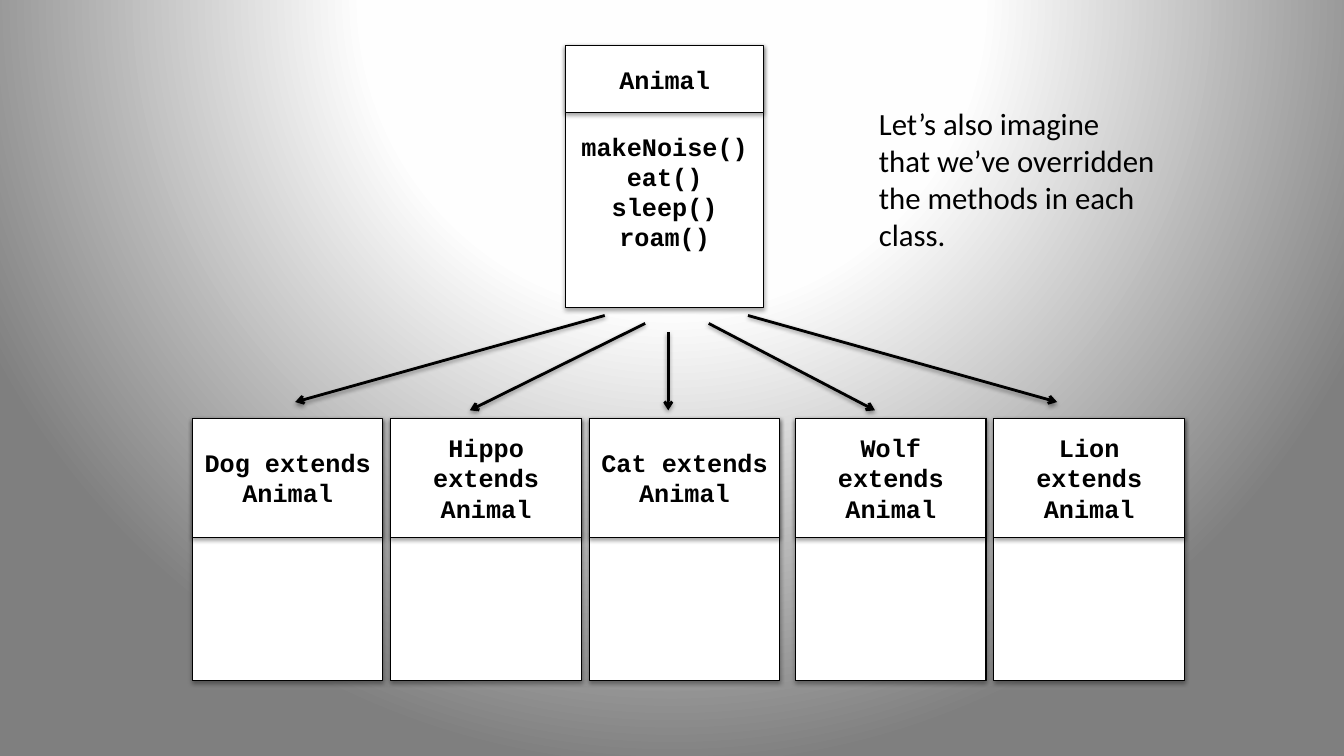
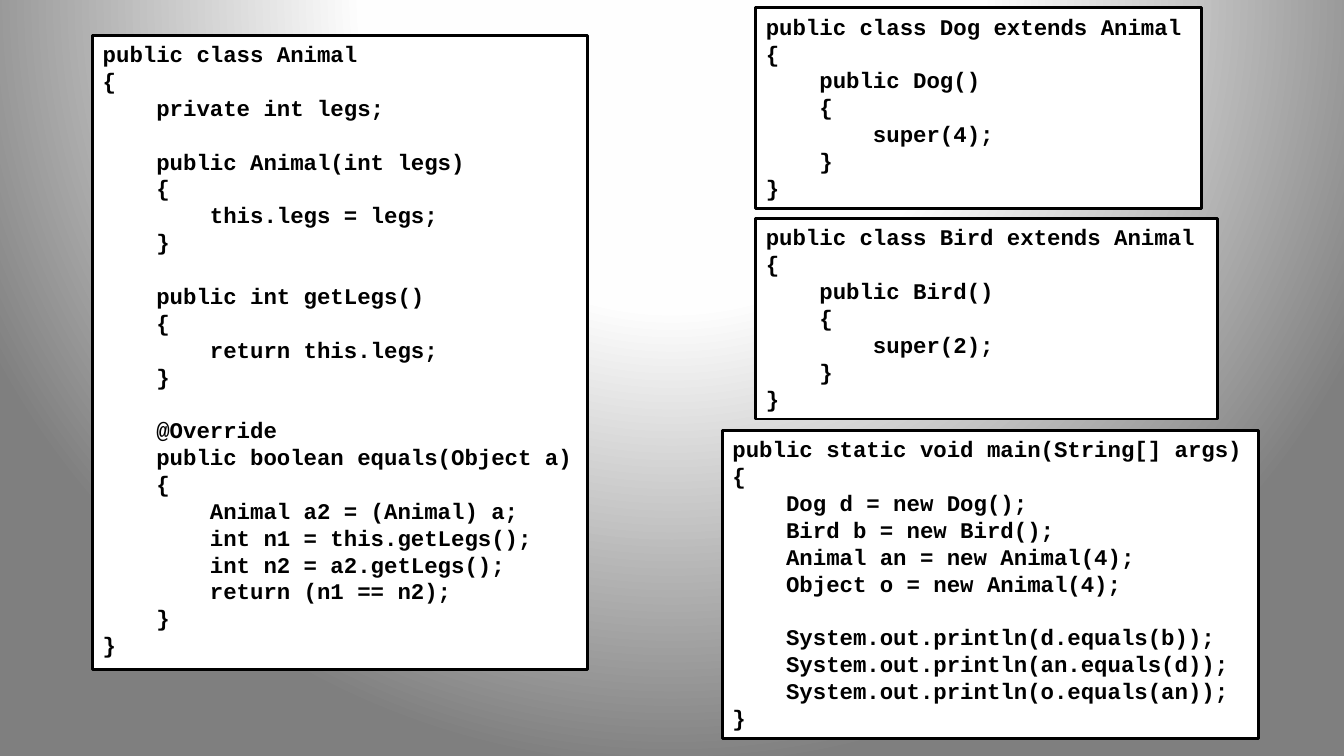
from pptx import Presentation
from pptx.dml.color import RGBColor
from pptx.enum.shapes import MSO_CONNECTOR, MSO_SHAPE
from pptx.enum.text import MSO_ANCHOR, PP_ALIGN
from pptx.oxml import parse_xml
from pptx.oxml.ns import nsdecls, qn
from pptx.util import Cm, Pt

RECT = MSO_SHAPE.RECTANGLE
STRAIGHT = MSO_CONNECTOR.STRAIGHT
LEFT, CENTER = PP_ALIGN.LEFT, PP_ALIGN.CENTER
TOP, MIDDLE = MSO_ANCHOR.TOP, MSO_ANCHOR.MIDDLE

# Shared style
COLORS = {"ink": "000000", "box": "FFFFFF", "glow": "FEFEFE", "edge": "7F7F7F"}
FORMATS = {
    "class": {"name": "Courier New", "size": Pt(18), "bold": True},
    "code": {"name": "Courier New", "size": Pt(16), "bold": True},
    "note": {"name": "Calibri", "size": Pt(22), "bold": False},
}
LINE_PITCH = 1.2  # line height as a multiple of the font size

# Class diagram content
METHODS = "makeNoise()\neat()\nsleep()\nroam()"
SUBCLASSES = ["Dog", "Hippo", "Cat", "Wolf", "Lion"]
NOTE = "Let’s also imagine\nthat we’ve overridden\nthe methods in each\nclass."
ARROWS = [  # x1, y1, x2, y2
    (15.24, 7.95, 7.44, 10.13),
    (16.26, 8.15, 11.84, 10.34),
    (16.84, 8.36, 16.84, 10.34),
    (17.86, 8.15, 22.05, 10.34),
    (18.85, 7.95, 26.64, 10.13),
]

# Code listings
ANIMAL_CODE = """public class Animal
{
    private int legs;

    public Animal(int legs)
    {
        this.legs = legs;
    }

    public int getLegs()
    {
        return this.legs;
    }

    @Override
    public boolean equals(Object a)
    {
        Animal a2 = (Animal) a;
        int n1 = this.getLegs();
        int n2 = a2.getLegs();
        return (n1 == n2);
    }
}"""
MAIN_CODE = """public static void main(String[] args)
{
    Dog d = new Dog();
    Bird b = new Bird();
    Animal an = new Animal(4);
    Object o = new Animal(4);

    System.out.println(d.equals(b));
    System.out.println(an.equals(d));
    System.out.println(o.equals(an));
}"""
SUBCLASS_CODE = """public class {name} extends Animal
{{
    public {name}()
    {{
        super({legs});
    }}
}}"""


def rgb(key):
    return RGBColor.from_string(COLORS[key])


def set_background(master):
    """Give every slide the radial gradient through the master."""
    master.background.fill.solid()
    stops = "".join(
        f'<a:gs pos="{pos * 1000}"><a:srgbClr val="{COLORS[key]}"/></a:gs>'
        for pos, key in ((0, "box"), (40, "glow"), (100, "edge")))
    gradient = parse_xml(
        f'<a:gradFill {nsdecls("a")} rotWithShape="1"><a:gsLst>{stops}</a:gsLst>'
        '<a:path path="circle"><a:fillToRect l="50000" t="-80000" r="50000" b="180000"/>'
        '</a:path></a:gradFill>')
    bg = master.element.find(".//" + qn("p:bgPr"))
    bg.replace(bg.find(qn("a:solidFill")), gradient)


def add_shadow(sp, dist, alpha):
    """Put a soft downward shadow under a shape or connector."""
    props = sp.element.spPr
    for old in props.findall(qn("a:effectLst")):
        props.remove(old)
    props.append(parse_xml(
        f'<a:effectLst {nsdecls("a")}><a:outerShdw blurRad="{Pt(3.1)}" dist="{Pt(dist)}" '
        f'dir="5400000" rotWithShape="0"><a:srgbClr val="{COLORS["ink"]}">'
        f'<a:alpha val="{alpha * 1000}"/></a:srgbClr></a:outerShdw></a:effectLst>'))


def write(sp, text, style, align=LEFT, anchor=TOP):
    """Write one paragraph per line; an empty line becomes space before the next."""
    tf = sp.text_frame
    tf.word_wrap = True
    tf.vertical_anchor = anchor
    fmt = FORMATS[style]
    p, gap = tf.paragraphs[0], 0
    for i, line in enumerate(text.split("\n")):
        if not line:
            gap += fmt["size"].pt * LINE_PITCH
            continue
        if i:
            p = tf.add_paragraph()
        p.alignment = align
        if gap:
            p.space_before, gap = Pt(gap), 0
        r = p.add_run()
        r.text = line
        for key, value in fmt.items():
            setattr(r.font, key, value)
        r.font.color.rgb = rgb("ink")


def add_box(shapes, x, y, w, h, weight):
    sp = shapes.add_shape(RECT, Cm(x), Cm(y), Cm(w), Cm(h))
    sp.shadow.inherit = False
    sp.fill.solid()
    sp.fill.fore_color.rgb = rgb("box")
    sp.line.color.rgb = rgb("ink")
    sp.line.width = Pt(weight)
    return sp


def add_class(s, x, y, w, header_h, title, members=""):
    """Class box: a body with a title compartment over its top."""
    group = s.shapes.add_group_shape()
    for h, text in ((6.6, members), (header_h, title)):
        sp = add_box(group.shapes, x, y, w, h, 0.75)
        add_shadow(sp, 1.8, 35)
        if text:
            write(sp, text, "class", CENTER, MIDDLE)
        if text == members:
            sp.text_frame.margin_top = Cm(0.9)


def add_arrow(s, *ends):
    line = s.shapes.add_connector(STRAIGHT, *map(Cm, ends))
    line.line.color.rgb = rgb("ink")
    line.line.width = Pt(2)
    line.line._get_or_add_ln().append(
        parse_xml(f'<a:tailEnd {nsdecls("a")} type="arrow"/>'))
    add_shadow(line, 1.6, 38)


def add_code(s, x, y, w, h, code):
    write(add_box(s.shapes, x, y, w, h, 2), code, "code")


def add_note(s, x, y, w, h, text):
    write(s.shapes.add_textbox(Cm(x), Cm(y), Cm(w), Cm(h)), text, "note")


def build_diagram(s):
    add_class(s, 14.25, 1.14, 5, 1.7, "Animal", METHODS)
    for i, name in enumerate(SUBCLASSES):
        x = 4.85 + 5 * i + (0.2 if i > 2 else 0)
        add_class(s, x, 10.54, 4.8, 3, f"{name} extends Animal")
    for ends in ARROWS:
        add_arrow(s, *ends)
    add_note(s, 21.9, 2.51, 7.57, 4.01, NOTE)


def build_listings(s):
    add_code(s, 2.34, 0.89, 12.47, 15.98, ANIMAL_CODE)
    add_code(s, 18.21, 10.85, 13.51, 7.77, MAIN_CODE)
    for name, legs, y, w in (("Dog", 4, 0.2, 11.23), ("Bird", 2, 5.51, 11.63)):
        add_code(s, 19.05, y, w, 5.05, SUBCLASS_CODE.format(name=name, legs=legs))


def main():
    prs = Presentation()
    prs.slide_width, prs.slide_height = Cm(33.87), Cm(19.05)
    set_background(prs.slide_master)
    for build in (build_diagram, build_listings):
        build(prs.slides.add_slide(prs.slide_layouts[6]))
    prs.save("out.pptx")


if __name__ == "__main__":
    main()
